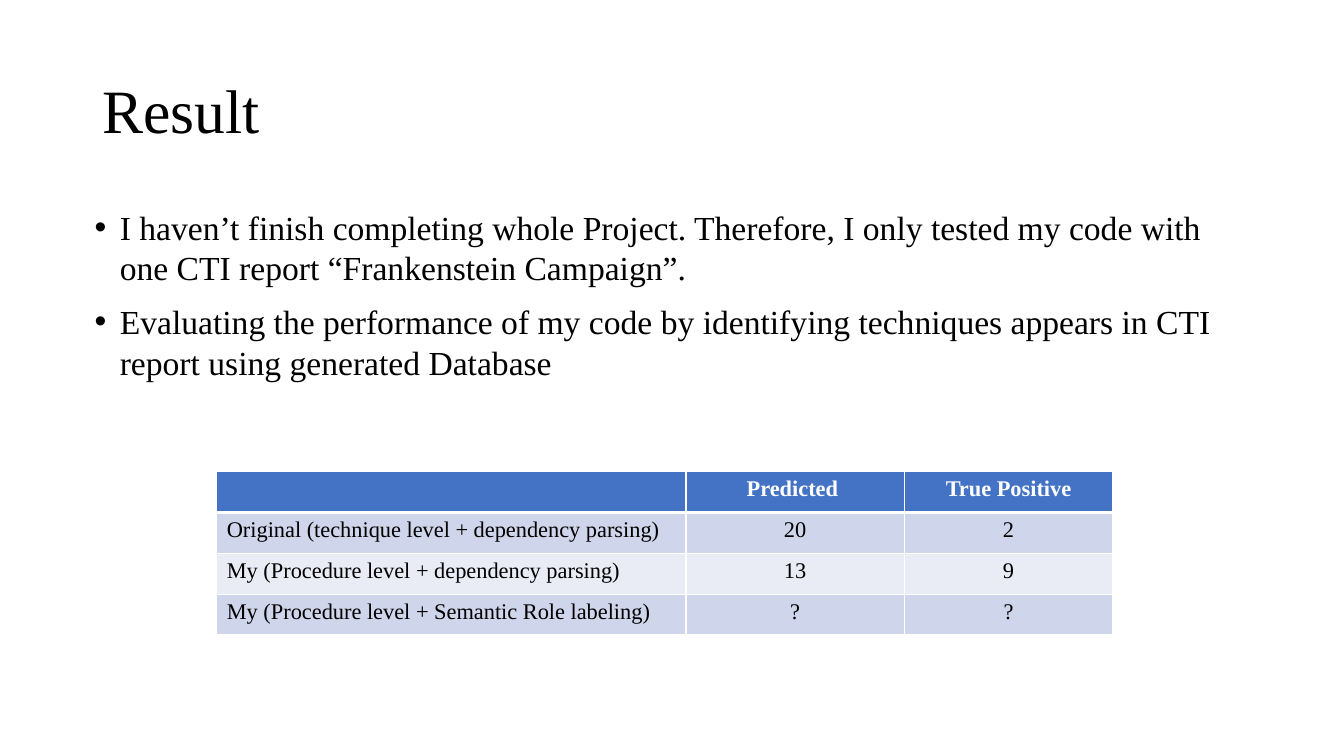
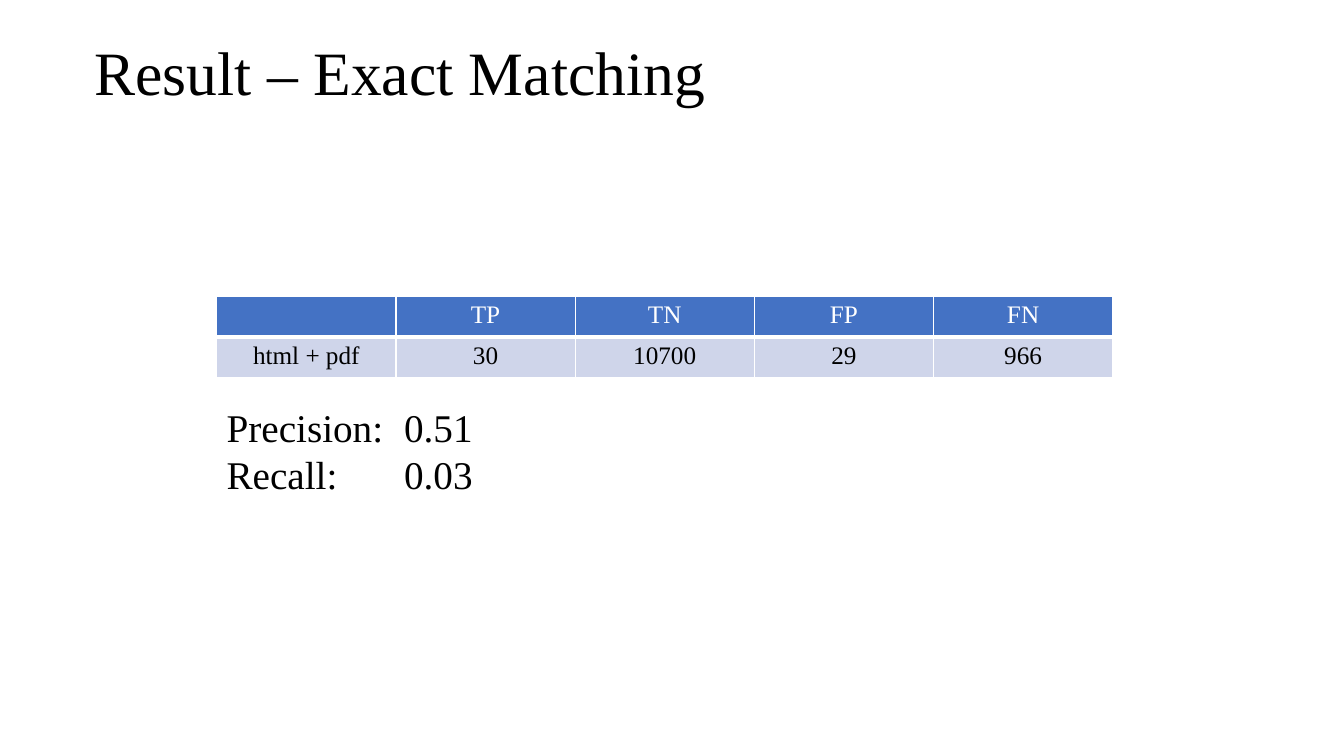
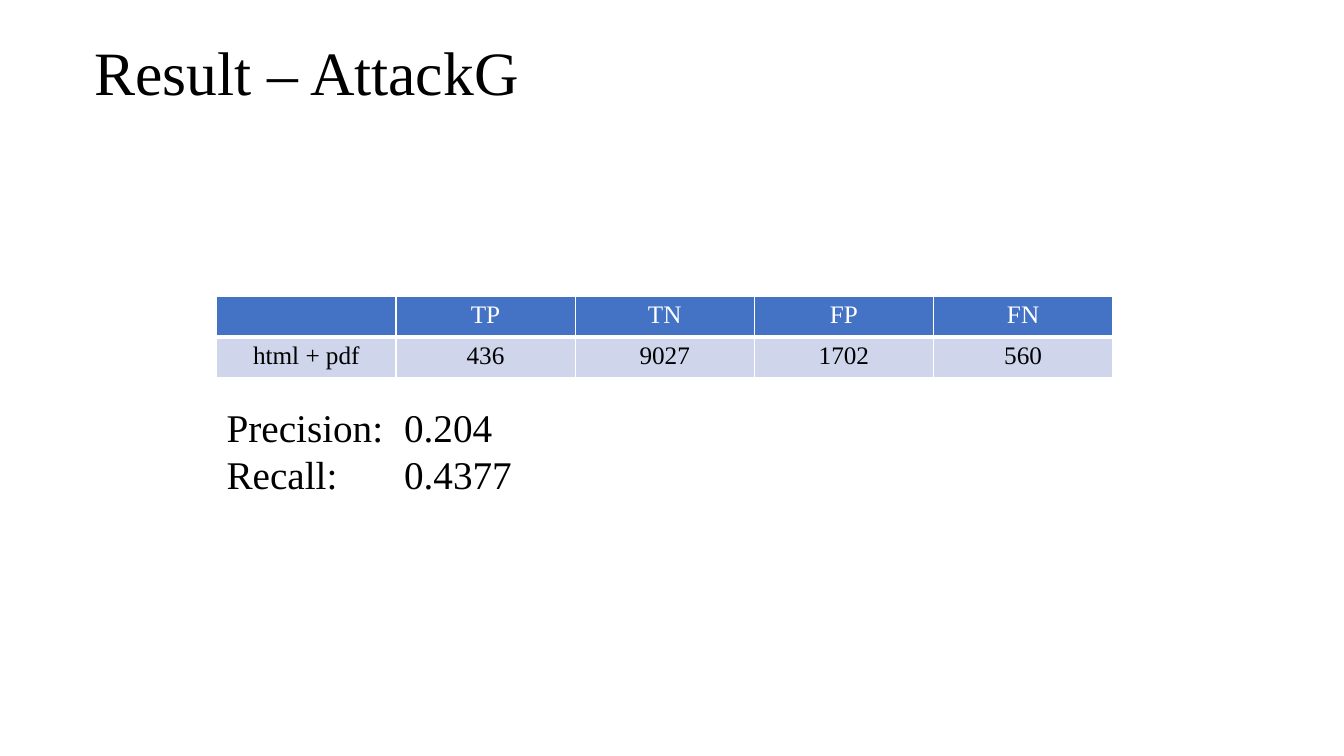
"""Build three result slides on technique matching in CTI reports."""
from dataclasses import dataclass

from lxml.etree import SubElement
from pptx import Presentation
from pptx.dml.color import RGBColor as Rgb
from pptx.enum.text import MSO_ANCHOR as Anchor, PP_ALIGN as Align
from pptx.oxml import parse_xml
from pptx.oxml.ns import nsdecls, qn
from pptx.util import Emu, Inches, Pt


@dataclass(frozen=True)
class Theme:
    """Colours, font and type sizes shared by the slides."""
    font: str = "Times New Roman"
    ink: str = "000000"
    paper: str = "FFFFFF"
    header: str = "4472C4"
    bands: tuple = ("CFD5EA", "E9EBF5")
    title_size: int = 44
    body_size: int = 24
    score_size: int = 28
    rule: int = 1
    header_rule: int = 3


@dataclass(frozen=True)
class Box:
    """A region in percent of the slide's width and height."""
    left: float
    top: float
    width: float
    height: float

    def on(self, deck):
        """Return left, top, width and height as lengths on the deck."""
        across, down = deck.slide_width / 100, deck.slide_height / 100
        return [Emu(round(length)) for length in (
            self.left * across, self.top * down,
            self.width * across, self.height * down)]


THEME = Theme()
MARGIN, CONTENT_WIDTH = 6.3, 86.25
TABLE_LEFT, TABLE_WIDTH = 16.13, 66.67
OVERVIEW_TITLE = Box(6.9, 5.33, CONTENT_WIDTH, 19.33)
SCORE_TITLE = Box(MARGIN, 0.27, CONTENT_WIDTH, 19.33)
FINDINGS = Box(MARGIN, 26.67, CONTENT_WIDTH, 63.47)
COMPARISON = Box(TABLE_LEFT, 62.4, TABLE_WIDTH, 21.6)
COUNTS = Box(TABLE_LEFT, 39.2, TABLE_WIDTH, 10.8)
SCORES = Box(TABLE_LEFT, 52.67, 46.2, 13.87)


def style(paragraph, size, color=THEME.ink, bold=False):
    """Format every run of a paragraph."""
    for run in paragraph.runs:
        run.font.name = THEME.font
        run.font.size = Pt(size)
        run.font.bold = bold
        run.font.color.rgb = Rgb.from_string(color)


def add_text(deck, slide, box, lines, size):
    """Place lines of text in a box and return its text frame."""
    frame = slide.shapes.add_textbox(*box.on(deck)).text_frame
    frame.word_wrap = True
    frame.text = "\n".join(lines)
    for paragraph in frame.paragraphs:
        style(paragraph, size)
    return frame


def add_title(deck, slide, box, title):
    """Place the slide title, centred vertically in its box."""
    frame = add_text(deck, slide, box, [title], THEME.title_size)
    frame.vertical_anchor = Anchor.MIDDLE
    frame.paragraphs[0].line_spacing = 0.9


def add_bullets(deck, slide, box, findings):
    """Place a bulleted list with a hanging indent."""
    frame = add_text(deck, slide, box, findings, THEME.body_size)
    for paragraph in frame.paragraphs:
        paragraph.space_before = Pt(10)
        properties = paragraph._p.get_or_add_pPr()
        properties.set("marL", str(Inches(0.25)))
        properties.set("indent", str(-Inches(0.25)))
        SubElement(properties, qn("a:buFont"), typeface="Arial")
        SubElement(properties, qn("a:buChar"), char="\u2022")


def add_scores(deck, slide, box, scores):
    """Place score names with their values at a tab stop."""
    lines = [f"{name}:\t{value}" for name, value in scores.items()]
    frame = add_text(deck, slide, box, lines, THEME.score_size)
    for paragraph in frame.paragraphs:
        stops = SubElement(paragraph._p.get_or_add_pPr(), qn("a:tabLst"))
        SubElement(stops, qn("a:tab"), pos=str(Inches(1.76)), algn="l")


def rule_cell(cell, bottom, top):
    """Draw the four borders of a table cell."""
    widths = {"lnL": THEME.rule, "lnR": THEME.rule, "lnT": top, "lnB": bottom}
    for place, (side, width) in enumerate(widths.items()):
        cell._tc.get_or_add_tcPr().insert(place, parse_xml(
            f'<a:{side} {nsdecls("a")} w="{Pt(width)}"><a:solidFill>'
            f'<a:srgbClr val="{THEME.paper}"/></a:solidFill></a:{side}>'))


def add_banded_table(deck, slide, box, rows, shares, size,
                     bold_header=False, center_labels=True):
    """Place a table with a header row and alternating bands."""
    left, top, width, height = box.on(deck)
    table = slide.shapes.add_table(
        len(rows), len(shares), left, top, width, height).table
    for column, share in zip(table.columns, shares):
        column.width = round(width * share / sum(shares))
    for r, row in enumerate(rows):
        table.rows[r].height = round(height / len(rows))
        is_header = r == 0
        fill = THEME.header if is_header else THEME.bands[(r - 1) % 2]
        for c, value in enumerate(row):
            cell = table.cell(r, c)
            cell.fill.solid()
            cell.fill.fore_color.rgb = Rgb.from_string(fill)
            rule_cell(cell,
                      bottom=THEME.header_rule if is_header else THEME.rule,
                      top=THEME.header_rule if r == 1 else THEME.rule)
            cell.text = value
            paragraph = cell.text_frame.paragraphs[0]
            style(paragraph, size, THEME.paper if is_header else THEME.ink,
                  is_header and bold_header)
            if c or center_labels:
                paragraph.alignment = Align.CENTER


def add_slide(deck, title_box, title):
    """Add a blank slide with a title."""
    slide = deck.slides.add_slide(deck.slide_layouts[6])
    add_title(deck, slide, title_box, title)
    return slide


def add_overview_slide(deck, title, findings, comparison):
    """Add the slide with findings above a comparison table."""
    slide = add_slide(deck, OVERVIEW_TITLE, title)
    add_bullets(deck, slide, FINDINGS, findings)
    add_banded_table(deck, slide, COMPARISON, comparison, (4.66, 2.17, 2.07),
                     16, bold_header=True, center_labels=False)


def add_score_slide(deck, title, counts, scores):
    """Add a slide with match counts above precision and recall."""
    slide = add_slide(deck, SCORE_TITLE, title)
    rows = [("", "TP", "TN", "FP", "FN"), ("html + pdf", *counts)]
    add_banded_table(deck, slide, COUNTS, rows, [1] * 5, 18)
    add_scores(deck, slide, SCORES, dict(zip(("Precision", "Recall"), scores)))


def main():
    """Build and save the deck."""
    deck = Presentation()
    deck.slide_width, deck.slide_height = Inches(13.33), Inches(7.5)
    add_overview_slide(
        deck, "Result",
        ["I haven’t finish completing whole Project. Therefore, I only tested "
         "my code with one CTI report “Frankenstein Campaign”.",
         "Evaluating the performance of my code by identifying techniques "
         "appears in CTI report using generated Database"],
        [("", "Predicted ", "True Positive"),
         ("Original (technique level + dependency parsing)", "20", "2"),
         ("My (Procedure level + dependency parsing)", "13", "9"),
         ("My (Procedure level + Semantic Role labeling)", "?", "?")])
    add_score_slide(deck, "Result – Exact Matching",
                    ("30", "10700", "29", "966"), ("0.51", "0.03"))
    add_score_slide(deck, "Result – AttackG",
                    ("436", "9027", "1702", "560"), ("0.204", "0.4377"))
    deck.save("out.pptx")


main()
